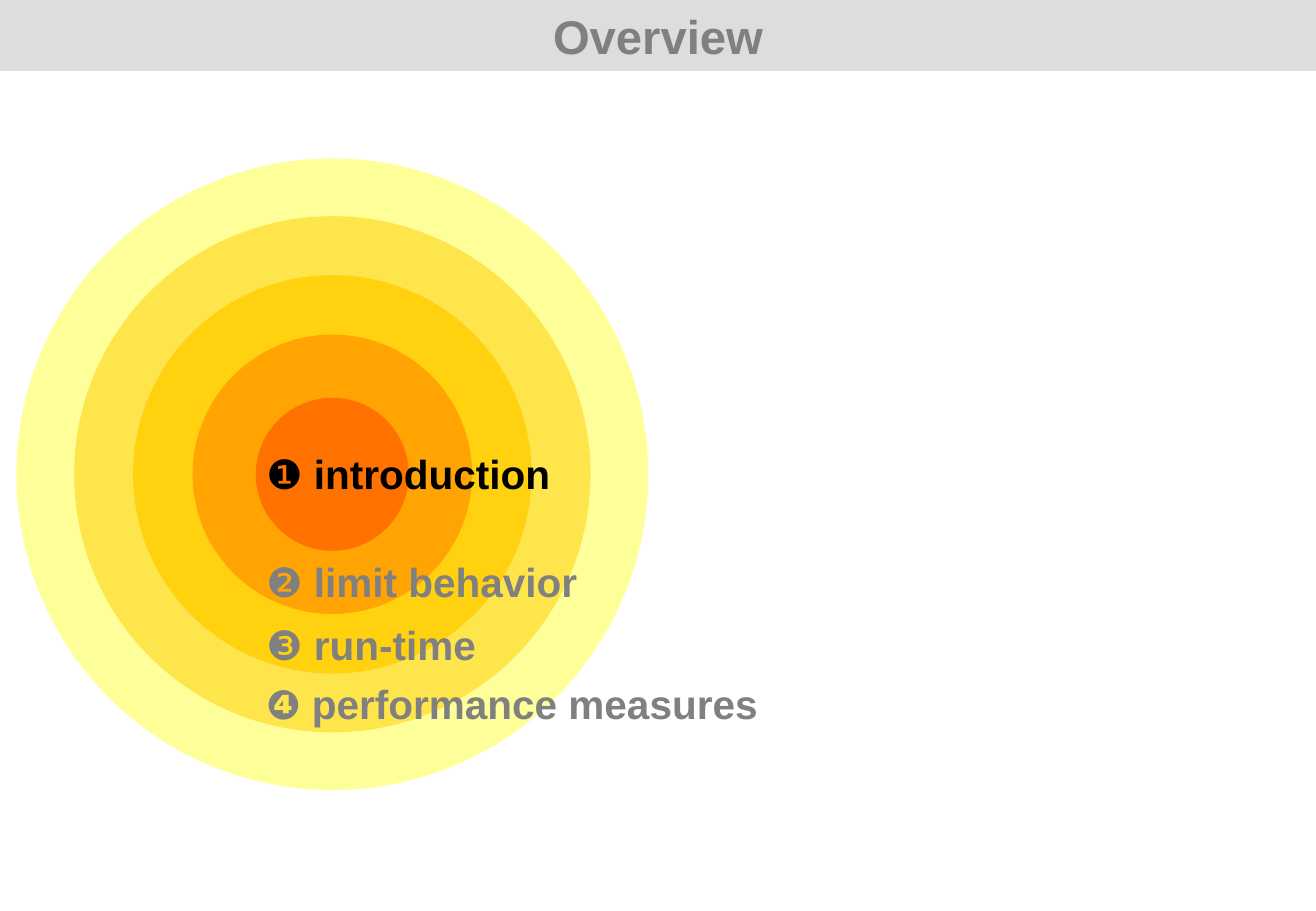
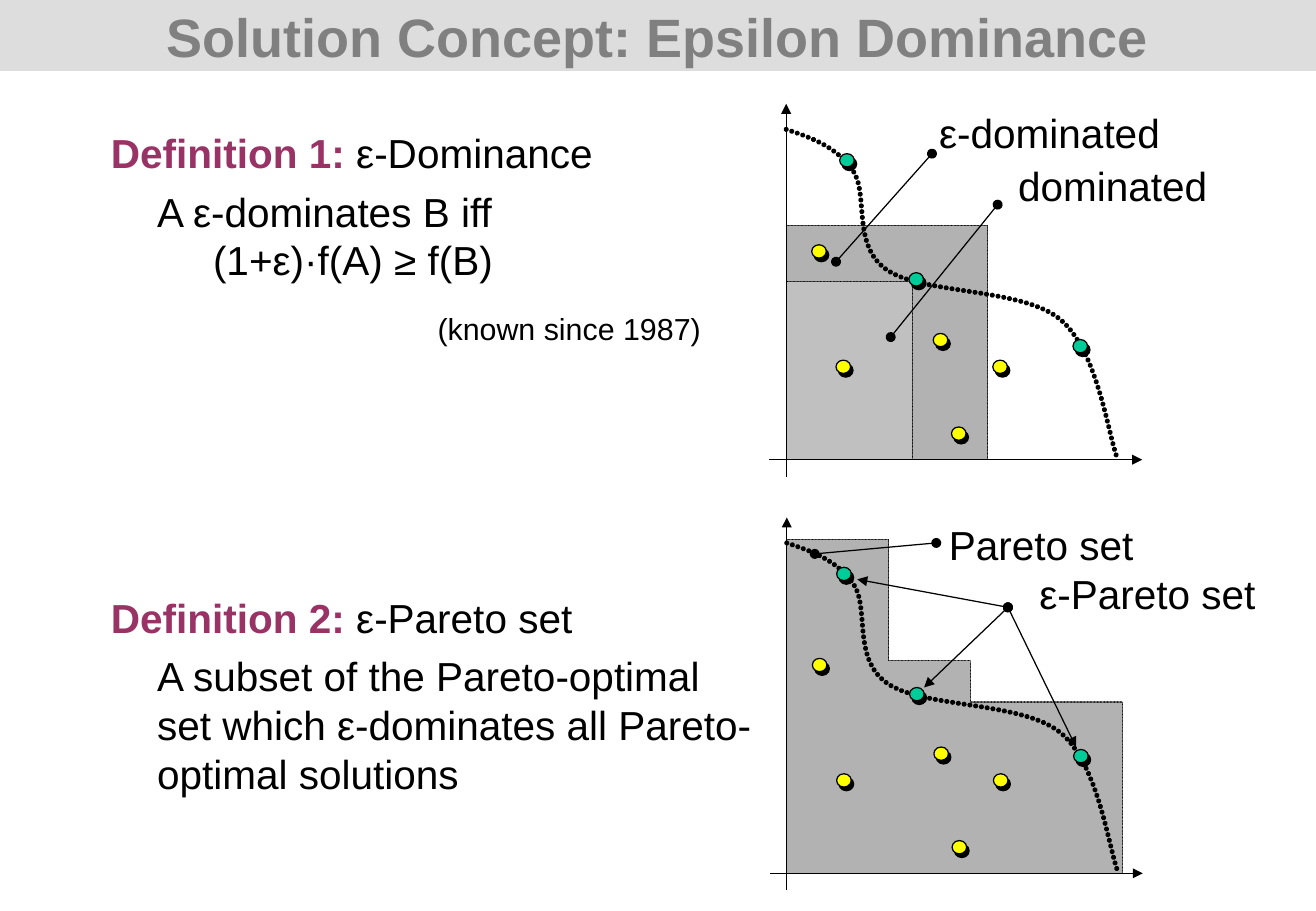
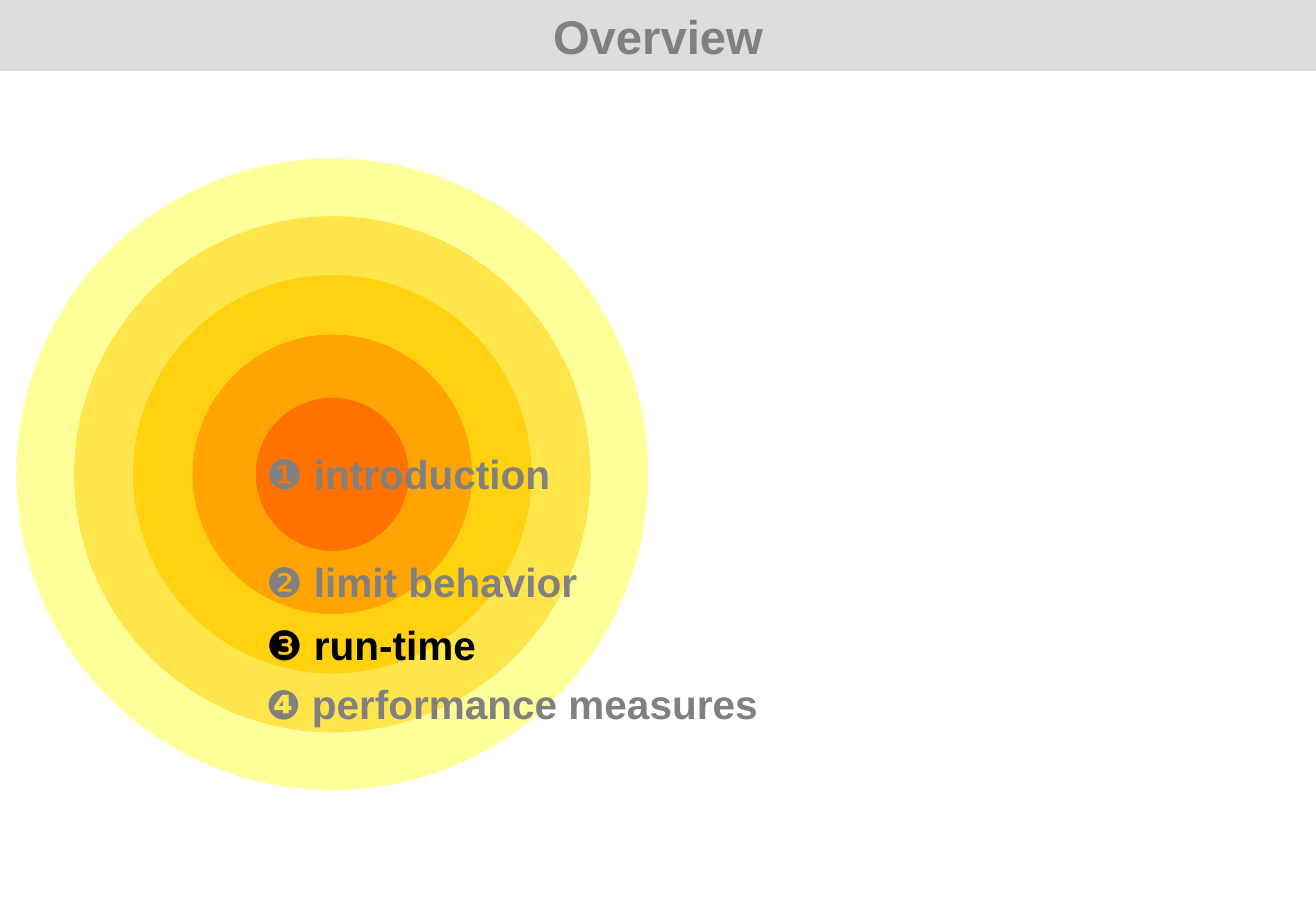
from dataclasses import dataclass
from typing import Any

from lxml.etree import SubElement
from pptx import Presentation
from pptx.dml.color import RGBColor
from pptx.enum.shapes import MSO_CONNECTOR, MSO_SHAPE
from pptx.enum.text import MSO_ANCHOR, PP_ALIGN
from pptx.oxml.ns import qn
from pptx.util import Emu, Inches, Pt

CELL = Inches(0.1)
COLUMNS, ROWS = 108.3, 75
FONT = "Arial"
COLORS = {
    "band": "DDDDDD", "muted": "808080", "ink": "000000", "term": "993366",
    "pale": "FFFF99", "gold": "FFCC00", "orange": "FF9900", "core": "FF6600",
    "epsilon_region": "B2B2B2", "region": "C0C0C0",
    "yellow": "FFFF00", "green": "00CC99",
}
Point = tuple[float, float]


@dataclass(frozen=True)
class Box:
    """A rectangle in grid columns and rows."""
    left: float
    top: float
    width: float
    height: float


@dataclass(frozen=True)
class Run:
    """A stretch of text in one style."""
    text: str
    color: str = "ink"
    bold: bool = False


@dataclass(frozen=True)
class Line:
    """A paragraph with its indent in columns and spacing."""
    runs: tuple[Run, ...]
    indent: float = 0
    before: float = 0
    spacing: float = 1


@dataclass(frozen=True)
class Ring:
    """A circle of the target, with its opacity in percent."""
    diameter: float
    color: str
    opacity: int


@dataclass(frozen=True)
class Topic:
    """An entry of the overview."""
    number: str
    name: str
    before: float
    bold_number: bool = False


@dataclass(frozen=True)
class Leader:
    """A line between two points of a plot, with its end marks."""
    start: Point
    end: Point
    head: str = "oval"
    tail: str = "oval"


@dataclass(frozen=True)
class Plot:
    """An objective space; its points are relative to its origin."""
    origin: Point
    regions: tuple[tuple[Box, str], ...]
    steps: tuple[Point, ...]
    greens: tuple[Point, ...]
    leaders: tuple[Leader, ...]
    label_box: Box
    labels: tuple[Line, ...]


RINGS = (
    Ring(52, "pale", 100), Ring(42.5, "gold", 50), Ring(32.8, "gold", 80),
    Ring(23, "orange", 80), Ring(12.6, "core", 80),
)
RING_CENTER = (27.35, 39.05)
TOPICS = (
    Topic("❶", "introduction", 0), Topic("❷", "limit behavior", 34.8),
    Topic("❸", "run-time", 9), Topic("❹", "performance measures", 6, True),
)
YELLOWS = ((12.1, -10.4), (17, -8.2), (4.1, -8.2), (13.6, -2.7), (2.1, -17.7))
DOT_WIDTH, DOT_HEIGHT = 1.2, 1.1
DOT_SHADOW = (0.2, 0.3)
AXIS_BACK, AXIS_AHEAD = -1.4, 29.3
FRONT = (
    (0, -27.2), (2.1, -26.5), (4.1, -25.8), (5.5, -23.8),
    (6.8, -21.9), (5.4, -17.7), (8.2, -15.7),
    (11, -13.6), (19.3, -14.2), (22.5, -11.6),
    (25.7, -9), (26.5, -1.9), (27.3, 0),
)
EPSILON_SOURCE = (18.2, -21.9)
PLOTS = (
    Plot(
        (64.7, 37.85),
        ((Box(0, -19.3, 16.6, 19.3), "epsilon_region"), (Box(0, -14.7, 10.4, 14.7), "region")),
        (),
        ((4.4, -25.2), (10.1, -15.4), (23.6, -9.9)),
        (Leader((12, -25.2), (4.1, -16.3)), Leader((17.4, -21), (8.6, -10.1))),
        Box(76.3, 8.4, 29.2, 9.1),
        (Line((Run("ε-dominated"),)), Line((Run("dominated"),), 6.5, 15, 0.5)),
    ),
    Plot(
        (64.75, 71.9),
        (),
        ((0, -27.5), (8.4, -27.5), (8.4, -17.5), (15.1, -17.5),
         (15.1, -14.1), (27.6, -14.1), (27.6, 0), (0, 0)),
        ((4.1, -25.2), (10.1, -15.3), (23.6, -10.2)),
        tuple(Leader(target, EPSILON_SOURCE, head="triangle")
              for target in ((5.8, -24.2), (11.3, -15.3), (23.8, -10.4)))
        + (Leader((2.3, -26.3), (12.3, -27.2)),),
        Box(77.1, 42.3, 29.2, 8.7),
        (Line((Run("Pareto set"),)), Line((Run("ε-Pareto set"),), 7.45, 15, 0.4)),
    ),
)
DEFINITIONS = (
    Line((Run("Definition 1: ", "term", True), Run("ε-Dominance"))),
    Line((Run("A ε-dominates B iff"),), 3.8, 6),
    Line((Run("(1+ε)·f(A) ≥ f(B)"),), 8.4),
    Line((Run("Definition 2: ", "term", True), Run("ε-Pareto set")), before=183),
    Line((Run("A subset of the Pareto-optimal\nset which ε-dominates all Pareto-\n"
              "optimal solutions"),), 3.8, 6),
)


def cells(count: float) -> Emu:
    """Turn grid cells into a length."""
    return Emu(round(count * CELL))


def rgb(color: str) -> RGBColor:
    """Look up a named colour."""
    return RGBColor.from_string(COLORS[color])


def shifted(point: Point, offset: Point) -> Point:
    """Move a point by an offset."""
    return point[0] + offset[0], point[1] + offset[1]


def style_shape(shape: Any, fill: str | None, outline: str | None = None, opacity: int = 100,
                weight: float = 0.75, dotted: bool = False) -> None:
    """Set the fill, outline and opacity of a shape."""
    shape.shadow.inherit = False
    if fill:
        shape.fill.solid()
        shape.fill.fore_color.rgb = rgb(fill)
        if opacity < 100:
            color = shape.fill._xPr.find(qn("a:solidFill"))[0]
            SubElement(color, qn("a:alpha")).set("val", str(opacity * 1000))
    else:
        shape.fill.background()
    if outline:
        shape.line.color.rgb = rgb(outline)
        shape.line.width = Pt(weight)
        if dotted:
            line = shape.line._get_or_add_ln()
            line.set("cap", "rnd")
            dash = SubElement(SubElement(line, qn("a:custDash")), qn("a:ds"))
            dash.set("d", "100000")
            dash.set("sp", "15000")
    else:
        shape.line.fill.background()


def add_preset(slide: Any, kind: Any, box: Box, fill: str, **style: Any) -> None:
    """Draw a preset shape in a box of the grid."""
    shape = slide.shapes.add_shape(
        kind, cells(box.left), cells(box.top), cells(box.width), cells(box.height))
    style_shape(shape, fill, **style)


def add_outline(slide: Any, points: list[Point], close: bool, fill: str | None, **style: Any) -> Any:
    """Draw a freeform through points of the grid."""
    corners = [(cells(x), cells(y)) for x, y in points]
    builder = slide.shapes.build_freeform(*corners[0])
    builder.add_line_segments(corners[1:], close=close)
    shape = builder.convert_to_shape()
    style_shape(shape, fill, **style)
    return shape


def bend(shape: Any) -> None:
    """Turn each three line segments of a freeform into a Bezier curve."""
    segments = list(shape._element.iter(qn("a:lnTo")))
    outline = segments[0].getparent()
    for first in range(0, len(segments), 3):
        curve = SubElement(outline, qn("a:cubicBezTo"))
        for segment in segments[first:first + 3]:
            curve.append(segment[0])
            outline.remove(segment)


def add_text(slide: Any, box: Box, lines: tuple[Line, ...], *, size: float = 24,
             align: Any = PP_ALIGN.LEFT, anchor: Any = MSO_ANCHOR.TOP) -> None:
    """Write lines of text into a box of the grid."""
    text_box = slide.shapes.add_textbox(
        cells(box.left), cells(box.top), cells(box.width), cells(box.height))
    frame = text_box.text_frame
    frame.word_wrap = True
    frame.vertical_anchor = anchor
    for index, line in enumerate(lines):
        paragraph = frame.add_paragraph() if index else frame.paragraphs[0]
        paragraph.alignment = align
        if line.indent:
            paragraph._p.get_or_add_pPr().set("marL", str(cells(line.indent)))
        if line.spacing != 1:
            paragraph.line_spacing = line.spacing
        if index:
            paragraph.space_before = Pt(line.before)
        for part in line.runs:
            for row, text in enumerate(part.text.split("\n")):
                if row:
                    paragraph.add_line_break()
                run = paragraph.add_run()
                run.text = text
                run.font.name = FONT
                run.font.size = Pt(size)
                run.font.bold = part.bold
                run.font.color.rgb = rgb(part.color)


def add_line(slide: Any, leader: Leader, origin: Point) -> None:
    """Draw a line with end marks, relative to an origin."""
    start, end = shifted(leader.start, origin), shifted(leader.end, origin)
    connector = slide.shapes.add_connector(
        MSO_CONNECTOR.STRAIGHT, *(cells(value) for value in start + end))
    connector.line.color.rgb = rgb("ink")
    connector.line.width = Pt(0.75)
    line = connector.line._get_or_add_ln()
    for tag, mark in (("a:headEnd", leader.head), ("a:tailEnd", leader.tail)):
        SubElement(line, qn(tag)).set("type", mark)
    SubElement(connector._element.spPr, qn("a:effectLst"))


def add_dot(slide: Any, position: Point, color: str) -> None:
    """Draw a solution as a dot over its black shadow."""
    for offset, fill in ((DOT_SHADOW, "ink"), ((0, 0), color)):
        left, top = shifted(position, offset)
        add_preset(slide, MSO_SHAPE.OVAL, Box(left, top, DOT_WIDTH, DOT_HEIGHT), fill, outline="ink")


def add_plot(slide: Any, plot: Plot) -> None:
    """Draw regions, axes, front, solutions and labels of a plot."""
    origin = plot.origin
    for box, color in plot.regions:
        left, top = shifted((box.left, box.top), origin)
        add_preset(slide, MSO_SHAPE.RECTANGLE, Box(left, top, box.width, box.height), color,
                   outline="ink", dotted=True)
    if plot.steps:
        corners = [shifted(point, origin) for point in plot.steps]
        add_outline(slide, corners, True, "epsilon_region", outline="ink", dotted=True)
    for start, end in (((0, -AXIS_BACK), (0, -AXIS_AHEAD)), ((AXIS_BACK, 0), (AXIS_AHEAD, 0))):
        add_line(slide, Leader(start, end, "none", "triangle"), origin)
    front = add_outline(slide, [shifted(point, origin) for point in FRONT], False, None,
                        outline="ink", weight=3, dotted=True)
    bend(front)
    for color, positions in (("green", plot.greens), ("yellow", YELLOWS)):
        for position in positions:
            add_dot(slide, shifted(position, origin), color)
    for leader in plot.leaders:
        add_line(slide, leader, origin)
    add_text(slide, plot.label_box, plot.labels)


def add_titled_slide(presentation: Any, title: str, size: float) -> Any:
    """Add a blank slide with the title band."""
    slide = presentation.slides.add_slide(presentation.slide_layouts[6])
    band = Box(0, 0, COLUMNS, 5.85)
    add_preset(slide, MSO_SHAPE.RECTANGLE, band, "band")
    add_text(slide, band, (Line((Run(title, "muted", True),)),), size=size,
             align=PP_ALIGN.CENTER, anchor=MSO_ANCHOR.MIDDLE)
    return slide


def add_overview(presentation: Any, current: str) -> None:
    """Add the overview with the current topic in black."""
    slide = add_titled_slide(presentation, "Overview", 28)
    for ring in RINGS:
        left, top = shifted(RING_CENTER, (-ring.diameter / 2, -ring.diameter / 2))
        add_preset(slide, MSO_SHAPE.OVAL, Box(left, top, ring.diameter, ring.diameter),
                   ring.color, opacity=ring.opacity)
    lines = []
    for topic in TOPICS:
        color = "ink" if topic.name == current else "muted"
        runs = (Run(topic.number, color, topic.bold_number), Run(f" {topic.name}", color, True))
        lines.append(Line(runs, before=topic.before))
    add_text(slide, Box(20.95, 36.5, 44.6, 23.9), tuple(lines))


def add_dominance(presentation: Any) -> None:
    """Add the definitions of epsilon dominance with their plots."""
    slide = add_titled_slide(presentation, "Solution Concept: Epsilon Dominance", 32)
    add_text(slide, Box(8.15, 10.05, 92, 60.8), DEFINITIONS)
    for plot in PLOTS:
        add_plot(slide, plot)
    add_text(slide, Box(35, 25.05, 23.7, 4), (Line((Run("(known since 1987)"),)),),
             size=18, align=PP_ALIGN.CENTER)


def main() -> None:
    """Build and save the presentation."""
    presentation = Presentation()
    presentation.slide_width = cells(COLUMNS)
    presentation.slide_height = cells(ROWS)
    add_overview(presentation, "introduction")
    add_dominance(presentation)
    add_overview(presentation, "run-time")
    presentation.save("out.pptx")


if __name__ == "__main__":
    main()
